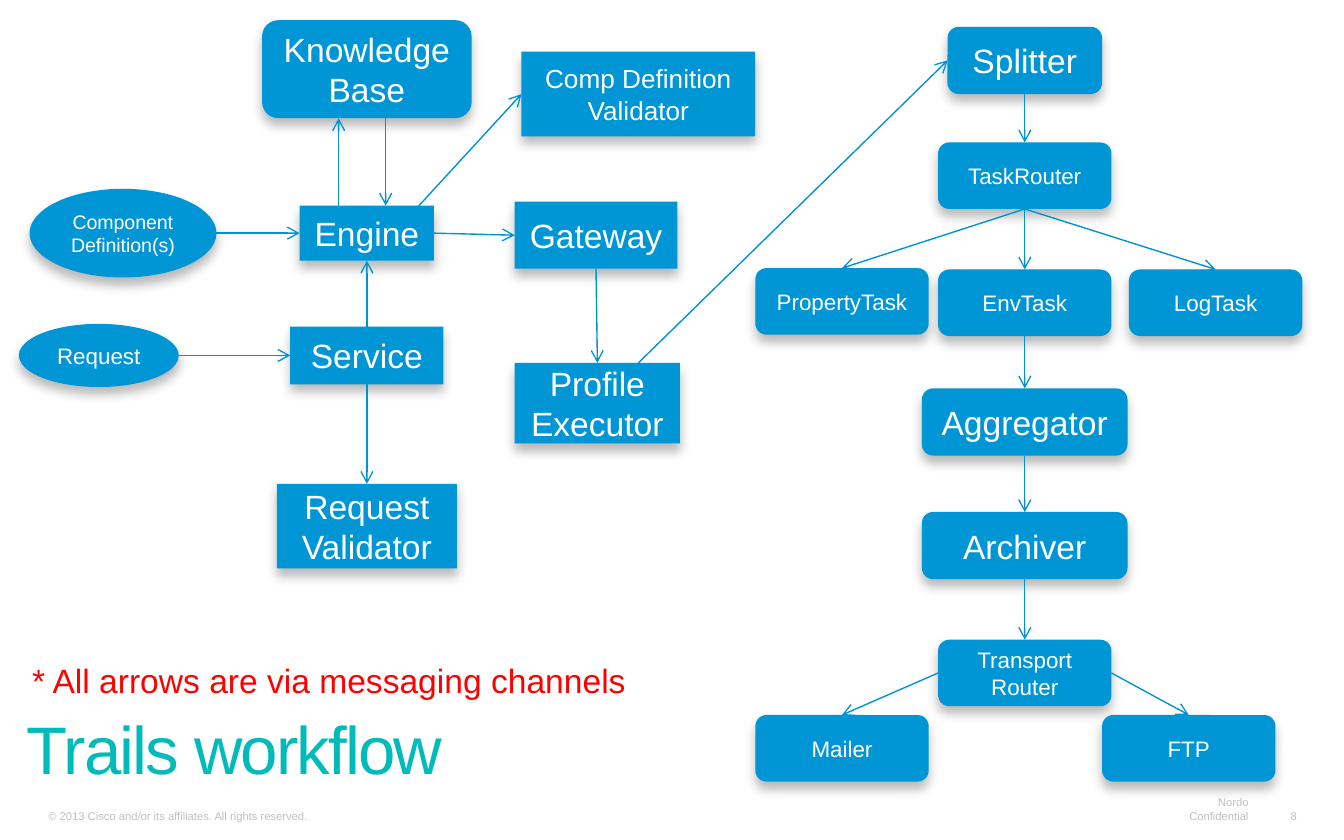
"""Builds the Trails workflow slide."""
from lxml import etree
from pptx import Presentation
from pptx import util as u
from pptx.dml.color import RGBColor
from pptx.enum import shapes, text
from pptx.oxml import parse_xml
from pptx.oxml.ns import nsdecls, qn

TOP, LEFT, BOTTOM, RIGHT = range(4)
RECT = shapes.MSO_SHAPE.RECTANGLE
ROUND = shapes.MSO_SHAPE.ROUNDED_RECTANGLE
OVAL = shapes.MSO_SHAPE.OVAL


def colour(value):
    """Turn a hex string into a colour."""
    return RGBColor.from_string(value)


class Diagram:
    """Style and current slide, measured on a grid of 100 by 62.5 cells."""

    font, fill, line, white = "Arial", "0096D6", "0093D1", "FFFFFF"

    def __init__(self, deck):
        """Add a title-only slide."""
        self.cell = deck.slide_width / 100
        self.slide = deck.slides.add_slide(deck.slide_layouts[5])
        self.nodes = {}

    def grid(self, *cells):
        """Convert grid cells to lengths."""
        return [u.Emu(round(cell * self.cell)) for cell in cells]

    def style(self, frame, size, hue, align):
        """Format every paragraph of a text frame."""
        for para in frame.paragraphs:
            para.alignment = align
            para.font.name = self.font
            para.font.size = u.Pt(size)
            para.font.color.rgb = colour(hue)

    def title(self, words, area, size, hue):
        """Place and format the title placeholder."""
        box = self.slide.shapes.title
        box.left, box.top, box.width, box.height = self.grid(*area)
        frame = box.text_frame
        frame.text = words
        frame.auto_size = text.MSO_AUTO_SIZE.NONE
        frame.vertical_anchor = text.MSO_ANCHOR.BOTTOM
        frame.margin_left, frame.margin_right = self.grid(0.9, 0.9)
        para = frame.paragraphs[0]
        para.line_spacing = 0.8
        para.runs[0]._r.get_or_add_rPr().set("spc", "-100")
        self.style(frame, size, hue, text.PP_ALIGN.LEFT)

    def note(self, words, area, size, hue, align=text.PP_ALIGN.LEFT,
             anchor=text.MSO_ANCHOR.TOP, margins=(1, 0.5)):
        """Add a plain line of text."""
        frame = self.slide.shapes.add_textbox(*self.grid(*area)).text_frame
        frame.text = words
        frame.word_wrap = False
        frame.vertical_anchor = anchor
        frame.margin_left, frame.margin_top = self.grid(*margins)
        frame.margin_right, frame.margin_bottom = self.grid(*margins)
        self.style(frame, size, hue, align)

    def node(self, words, kind, centre, top, width, height, size):
        """Add a labelled shape centred on a column."""
        area = self.grid(centre - width / 2, top, width, height)
        box = self.slide.shapes.add_shape(kind, *area)
        box.fill.solid()
        box.fill.fore_color.rgb = colour(self.fill)
        box.line.fill.background()
        self.shade(box)
        frame = box.text_frame
        frame.text = words
        frame.word_wrap = True
        frame.vertical_anchor = text.MSO_ANCHOR.MIDDLE
        self.style(frame, size, self.white, text.PP_ALIGN.CENTER)
        self.nodes[words.replace("\n", " ")] = box

    def shade(self, box):
        """Give a shape a soft shadow below it."""
        box.shadow.inherit = False
        effects = box._element.spPr.find(qn("a:effectLst"))
        effects.append(parse_xml(
            f'<a:outerShdw {nsdecls("a")} blurRad="76200" dist="50800" dir="5400000" '
            'algn="ctr" rotWithShape="0"><a:srgbClr val="000000">'
            '<a:alpha val="27000"/></a:srgbClr></a:outerShdw>'))

    def arrow(self, start, end):
        """Draw an arrow between points or (node name, side) pairs."""
        ends = [(0, 0) if isinstance(spot[0], str) else spot for spot in (start, end)]
        link = self.slide.shapes.add_connector(
            shapes.MSO_CONNECTOR.STRAIGHT, *self.grid(*ends[0], *ends[1]))
        for spot, join in ((start, link.begin_connect), (end, link.end_connect)):
            if isinstance(spot[0], str):
                join(self.nodes[spot[0]], spot[1])
        link.line.color.rgb = colour(self.line)
        link.line.width = u.Pt(0.75)
        etree.SubElement(link.line._get_or_add_ln(), qn("a:tailEnd"), type="arrow")
        etree.SubElement(link._element.spPr, qn("a:effectLst"))


NODES = [
    ("Gateway", RECT, 44.35, 15, 12.1, 5, 18),
    ("Service", RECT, 27.3, 24.3, 11.4, 4.3, 18),
    ("Request\nValidator", RECT, 27.3, 36, 13.4, 6.3, 18),
    ("Knowledge Base", ROUND, 27.3, 1.5, 15.6, 7.3, 18),
    ("Component Definition(s)", OVAL, 9.15, 14.05, 13.9, 6.6, 10.5),
    ("Request", OVAL, 7.35, 24.1, 11.9, 4.7, 12),
    ("Comp Definition\nValidator", RECT, 47.5, 3.85, 17.4, 6.3, 14),
    ("Profile Executor", RECT, 44.45, 27, 12.3, 6, 18),
    ("Engine", RECT, 27.3, 15.3, 10, 4.1, 18),
    ("Splitter", ROUND, 76.25, 2, 11.5, 5, 18),
    ("Aggregator", ROUND, 76.25, 28.9, 15.3, 5, 18),
    ("Archiver", ROUND, 76.25, 38.1, 15.3, 5, 18),
]
TASKS = [
    ("TaskRouter", 76.25, 10.6), ("PropertyTask", 62.65, 19.95),
    ("EnvTask", 76.25, 20.05), ("LogTask", 90.45, 20.05),
    ("Transport Router", 76.25, 47.6), ("Mailer", 62.65, 53.2), ("FTP", 88.45, 53.2),
]
CHAIN = ["Splitter", "TaskRouter", "EnvTask", "Aggregator", "Archiver", "Transport Router"]
ARROWS = [
    ((16.1, 17.35), ("Engine", LEFT)),
    ((30.9, 15.6), ("Comp Definition Validator", LEFT)),
    ((13.3, 26.45), ("Service", LEFT)),
    (("Service", TOP), ("Engine", BOTTOM)),
    (("Engine", RIGHT), ("Gateway", LEFT)),
    (("Gateway", BOTTOM), ("Profile Executor", TOP)),
    ((47.5, 27), ("Splitter", LEFT)),
    (("TaskRouter", BOTTOM), ("PropertyTask", TOP)),
    (("TaskRouter", BOTTOM), ("LogTask", TOP)),
    (("Transport Router", LEFT), ("Mailer", TOP)),
    (("Transport Router", RIGHT), ("FTP", TOP)),
    (("Service", BOTTOM), ("Request Validator", TOP)),
    ((25.2, 15.3), (25.2, 8.8)),
    ((28.7, 8.8), (28.7, 15.3)),
]
FOOTERS = [
    ("© 2013 Cisco and/or its affiliates. All rights reserved.", 2.7, 37.4, text.PP_ALIGN.LEFT),
    ("Nordo Confidential", 85.2, 8.6, text.PP_ALIGN.RIGHT),
    ("8", 94.6, 2.8, text.PP_ALIGN.RIGHT),
]


def main():
    """Build and save the deck."""
    deck = Presentation()
    deck.slide_width, deck.slide_height = u.Inches(10), u.Inches(6.25)
    diagram = Diagram(deck)
    for words, left, width, align in FOOTERS:
        diagram.note(words, (left, 59.7, width, 1.9), 6, "C0C0C0", align,
                     text.MSO_ANCHOR.BOTTOM, (0.9, 0.4))
    diagram.title("Trails workflow", (1.1, 51.5, 81.3, 7.6), 36, "01BBBB")
    for node in NODES:
        diagram.node(*node)
    for words, centre, top in TASKS:
        diagram.node(words, ROUND, centre, top, 12.9, 4.95, 12)
    diagram.note("* All arrows are via messaging channels", (1.4, 48.6, 46.6, 4), 18, "FF0000")
    for start, end in ARROWS:
        diagram.arrow(start, end)
    for upper, lower in zip(CHAIN, CHAIN[1:]):
        diagram.arrow((upper, BOTTOM), (lower, TOP))
    deck.save("out.pptx")


if __name__ == "__main__":
    main()
